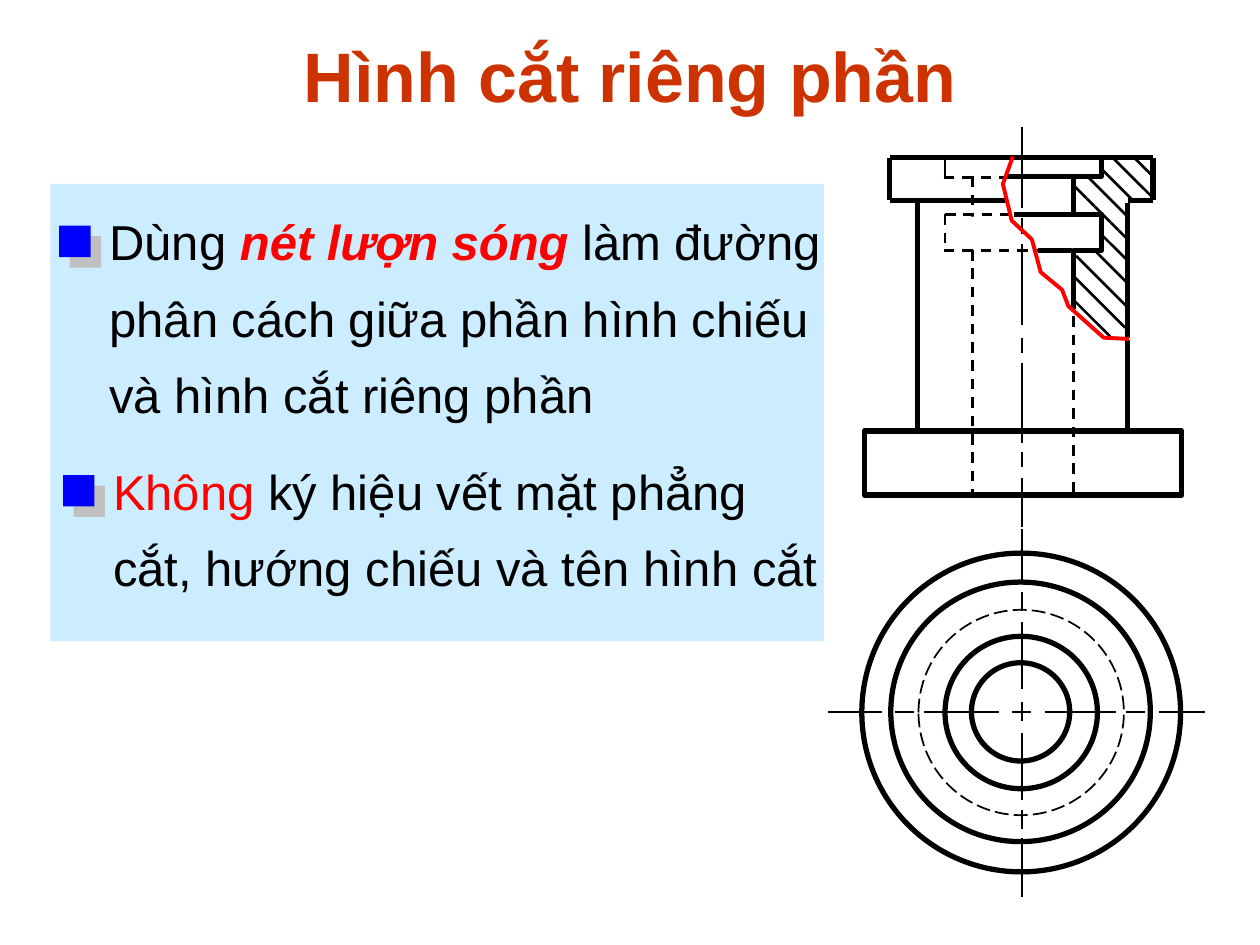
from dataclasses import dataclass

from lxml.etree import SubElement
from pptx import Presentation
from pptx.dml.color import RGBColor
from pptx.enum.dml import MSO_LINE
from pptx.enum.shapes import MSO_CONNECTOR, MSO_SHAPE
from pptx.enum.text import MSO_ANCHOR, MSO_AUTO_SIZE, PP_ALIGN
from pptx.oxml.ns import qn
from pptx.util import Emu, Pt

EMU_PER_PX = 9144


@dataclass(frozen=True)
class Theme:
    """Colours, font and type sizes of the slide."""
    font: str = "Arial"
    title_size: int = 40
    body_size: int = 28
    title: str = "CC3300"
    ink: str = "000000"
    accent: str = "FF0000"
    panel: str = "CCECFF"
    marker: str = "0000FF"
    marker_shadow: str = "C0C0C0"
    paper: str = "FFFFFF"


@dataclass(frozen=True)
class Stroke:
    """Colour, width in points and dash of a line."""
    color: str
    width: float
    dash: MSO_LINE | None = None


THEME = Theme()
OUTLINE = Stroke(THEME.ink, 3)
THIN = Stroke(THEME.ink, 1.5)
HIDDEN = Stroke(THEME.ink, 1.5, MSO_LINE.DASH)
HIDDEN_CIRCLE = Stroke(THEME.ink, 1, MSO_LINE.LONG_DASH)
BREAK = Stroke(THEME.accent, 2.25)

AXIS_X, AXIS_Y = 811, 565
FRONT_AXIS = [(101, 165), (173, 186), (194, 258), (268, 280), (288, 352), (359, 371), (379, 418)]
PLAN_AXIS = [(420, 461), (470, 485), (494, 547), (557, 572), (582, 635), (643, 658), (665, 712)]
CROSS_AXIS = [(657, 700), (710, 725), (733, 793), (803, 818), (829, 886), (894, 909), (920, 956)]
PLAN_CIRCLES = [(78, OUTLINE), (121, OUTLINE), (163, HIDDEN_CIRCLE), (206, OUTLINE), (253, OUTLINE)]
BREAK_POINTS = [(804, 124), (796, 146), (803, 175), (819, 190), (826, 216),
                (843, 230), (848, 243), (876, 268), (896, 269)]
BODY_EDGES = [(915, 125, 706, 125), (799, 159, 706, 159), (706, 125, 706, 159),
              (728, 160, 728, 342), (895, 270, 895, 342), (895, 161, 895, 268),
              (915, 125, 915, 159), (915, 159, 895, 159)]
RECESS_SIDES = [(750, 124, 750, 141), (873, 124, 873, 141)]
HIDDEN_EDGES = [(749, 141, 874, 141), (750, 170, 875, 170), (749, 199, 874, 199),
                (750, 170, 750, 199), (772, 140, 772, 394), (852, 251, 852, 397),
                (873, 170, 873, 199)]
CUT_PROFILES = [[(874, 125), (874, 140), (800, 140)],
                [(852, 140), (852, 170), (874, 170), (874, 199), (852, 199), (852, 245)]]
CUT_EDGES = [(853, 170, 805, 170), (851, 199, 824, 199)]
HATCH_STARTS = [(899, 124, 15), (883, 125, 32), (873, 133, 25), (864, 141, 31),
                (853, 148, 41), (873, 185, 22), (869, 199, 26), (854, 203, 40),
                (853, 220, 40), (852, 238, 29)]


def px(*lengths):
    """Turn px lengths into EMU."""
    return [Emu(length * EMU_PER_PX) for length in lengths]


def apply_stroke(line, stroke):
    """Style a line format."""
    line.color.rgb = RGBColor.from_string(stroke.color)
    line.width = Pt(stroke.width)
    if stroke.dash is not None:
        line.dash_style = stroke.dash


def add_solid(shapes, box, color):
    """Add a filled rectangle without a border."""
    shape = shapes.add_shape(MSO_SHAPE.RECTANGLE, *px(*box))
    shape.shadow.inherit = False
    shape.fill.solid()
    shape.fill.fore_color.rgb = RGBColor.from_string(color)
    shape.line.fill.background()
    return shape


def add_outlined(shapes, kind, box, stroke):
    """Add an unfilled preset shape."""
    shape = shapes.add_shape(kind, *px(*box))
    shape.shadow.inherit = False
    shape.fill.background()
    apply_stroke(shape.line, stroke)


def add_lines(shapes, segments, stroke):
    """Add straight lines of one style."""
    for segment in segments:
        connector = shapes.add_connector(MSO_CONNECTOR.STRAIGHT, *px(*segment))
        apply_stroke(connector.line, stroke)
        SubElement(connector._element.spPr, qn("a:effectLst"))


def add_polyline(shapes, points, stroke):
    """Add an open unfilled outline through the points."""
    builder = shapes.build_freeform(*points[0], scale=EMU_PER_PX)
    builder.add_line_segments(points[1:], close=False)
    shape = builder.convert_to_shape()
    shape.shadow.inherit = False
    shape.fill.background()
    apply_stroke(shape.line, stroke)


def add_text(shapes, box, runs, size):
    """Add a wrapped text box of (text, colour, bold, italic) runs."""
    text_box = shapes.add_textbox(*px(*box))
    text_box.text_frame.word_wrap = True
    paragraph = text_box.text_frame.paragraphs[0]
    paragraph.font.name = THEME.font
    paragraph.font.size = Pt(size)
    for text, color, bold, italic in runs:
        run = paragraph.add_run()
        run.text = text
        run.font.name = THEME.font
        run.font.size = Pt(size)
        run.font.color.rgb = RGBColor.from_string(color)
        run.font.bold = bold
        run.font.italic = italic
    return text_box.text_frame


def add_title(shapes, text):
    """Add the centred slide title."""
    frame = add_text(shapes, (50, 0, 900, 119), [(text, THEME.title, True, False)], THEME.title_size)
    frame.vertical_anchor = MSO_ANCHOR.MIDDLE
    frame.paragraphs[0].alignment = PP_ALIGN.CENTER


def add_point(shapes, left, top, height, runs):
    """Add a statement with its shadowed square marker."""
    group = shapes.add_group_shape()
    frame = add_text(group.shapes, (left, top, 596, height), runs, THEME.body_size)
    frame.auto_size = MSO_AUTO_SIZE.SHAPE_TO_FIT_TEXT
    frame.paragraphs[0].line_spacing = 1.3
    marker = add_solid(group.shapes, (left - 30, top + 30, 25, 25), THEME.marker)
    effects = marker._element.spPr.find(qn("a:effectLst"))
    shadow = SubElement(effects, qn("a:outerShdw"), dist=str(Pt(8.5)), dir=str(45 * 60000),
                        algn="ctr", rotWithShape="0")
    SubElement(shadow, qn("a:srgbClr"), val=THEME.marker_shadow)


def vertical_axis(spans):
    """Return the axis dashes for vertical spans."""
    return [(AXIS_X, start, AXIS_X, end) for start, end in spans]


def add_front_view(shapes):
    """Draw the flanged body with its local section."""
    cut = shapes.add_group_shape().shapes
    for profile in CUT_PROFILES:
        add_polyline(cut, profile, OUTLINE)
    add_lines(cut, CUT_EDGES, OUTLINE)
    body = shapes.add_group_shape().shapes
    add_lines(body, BODY_EDGES, OUTLINE)
    add_outlined(body, MSO_SHAPE.RECTANGLE, (686, 342, 252, 51), OUTLINE)
    add_lines(body, RECESS_SIDES, THIN)
    add_lines(body, HIDDEN_EDGES, HIDDEN)
    add_lines(body, vertical_axis(FRONT_AXIS), THIN)


def add_plan_view(shapes):
    """Draw the concentric circles and their axes."""
    plan = shapes.add_group_shape().shapes
    for diameter, stroke in PLAN_CIRCLES:
        corner = (AXIS_X - 1 - diameter // 2, AXIS_Y - diameter // 2)
        add_outlined(plan, MSO_SHAPE.OVAL, (*corner, diameter, diameter), stroke)
    add_lines(plan, vertical_axis(PLAN_AXIS), THIN)
    add_lines(plan, [(start, AXIS_Y, end, AXIS_Y) for start, end in CROSS_AXIS], THIN)


def add_hatching(shapes):
    """Draw the 45-degree section lines."""
    hatching = shapes.add_group_shape().shapes
    add_lines(hatching, [(x, y, x + run, y + run) for x, y, run in HATCH_STARTS], THIN)


def main():
    """Build and save the slide."""
    presentation = Presentation()
    presentation.slide_width, presentation.slide_height = px(1000, 750)
    shapes = presentation.slides.add_slide(presentation.slide_layouts[6]).shapes
    add_solid(shapes, (40, 146, 614, 363), THEME.panel)
    add_point(shapes, 77, 149, 192, [
        ("Dùng ", THEME.ink, False, False),
        ("nét lượn sóng", THEME.accent, True, True),
        (" làm đường phân cách giữa phần hình chiếu và hình cắt riêng phần", THEME.ink, False, False)])
    add_title(shapes, "Hình cắt riêng phần")
    add_front_view(shapes)
    add_plan_view(shapes)
    add_hatching(shapes)
    add_point(shapes, 80, 347, 132, [
        ("Không", THEME.accent, False, False),
        (" ký hiệu vết mặt phẳng cắt, hướng chiếu và tên hình cắt", THEME.ink, False, False)])
    add_polyline(shapes, BREAK_POINTS, BREAK)
    add_solid(shapes, (764, 172, 16, 22), THEME.paper)
    presentation.save("out.pptx")


if __name__ == "__main__":
    main()
